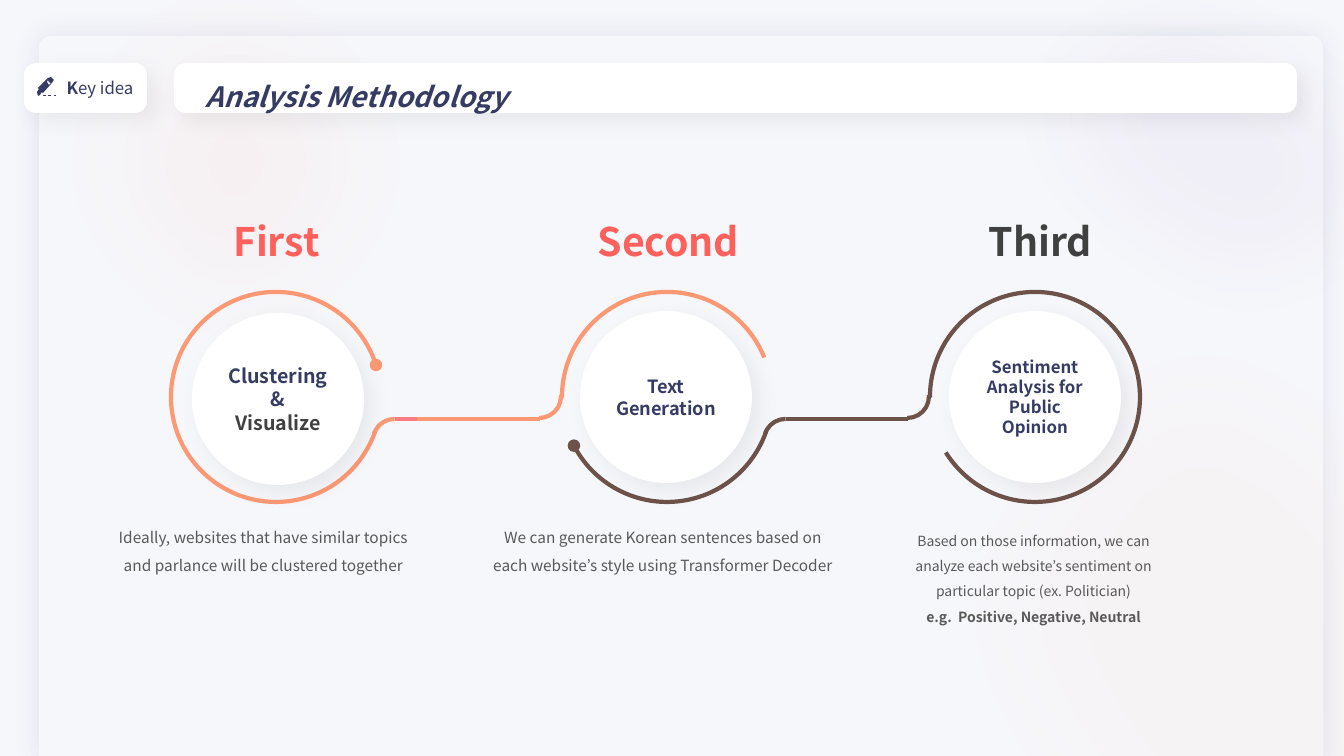
"""Build the Analysis Methodology slide with three linked rings."""
from dataclasses import dataclass

from lxml import etree
from pptx import Presentation
from pptx.dml.color import RGBColor
from pptx.enum.shapes import MSO_CONNECTOR as LINK, MSO_SHAPE as SHAPE
from pptx.enum.text import MSO_ANCHOR as ANCHOR, PP_ALIGN as ALIGN
from pptx.oxml.ns import qn
from pptx.util import Pt


@dataclass(frozen=True)
class Theme:
    font: str = "Noto Sans CJK KR"
    page: str = "F6F7FB"
    card: str = "FFFFFF"
    navy: str = "363B64"
    orange: str = "FC9974"
    pink: str = "FF7C80"
    brown: str = "6D524A"
    coral: str = "FE615C"
    charcoal: str = "404040"
    grey: str = "595959"
    peach: str = "FD9374"
    violet: str = "7030A0"
    shade: str = "000000"
    heading: int = 28
    title: int = 20
    tag: int = 12
    caption: int = 11
    small: int = 10
    stroke: int = 3
    hairline: float = 0.25


T = Theme()
SLIDE_W, SLIDE_H = 1344, 756
PX = 12192000 / SLIDE_W

GLOWS = [
    ((9, -85, 454, 495), 0, T.peach, 7),
    ((987, -137, 454, 567), 291.5, T.violet, 4),
    ((917, 277, 631, 733), 339.8, T.orange, 4),
]
TAG = [[("K", True, T.navy), ("ey idea", False, T.navy)]]
TITLE = [[("Analysis Methodology", True, T.navy)]]
PENCIL = [
    [(38, 96), (37, 92), (39, 89), (38, 88), (48, 78), (51, 77), (54, 80),
     (52, 83), (43, 93), (42, 92), (40, 95)],
    [(48, 80), (47, 82), (49, 85), (51, 83), (49, 82)],
]
GROUND_DASHES = [(43, 46), (48, 51), (54, 56)]

STEPS = [
    dict(
        heading="First", heading_color=T.coral, heading_box=(213, 212, 127, 57),
        ring_left=171, arcs=[(18.85, 342.27, T.orange, True)],
        disc=(192, 313), label_size=14,
        label=[[("Clustering", True, T.navy)],
               [("& ", True, T.navy), ("Visualize", True, T.charcoal)]],
        caption_box=(95, 514, 337, 67), caption_size=T.caption,
        caption=[[("Ideally, websites that have similar topics and parlance "
                   "will be clustered together", False, T.grey)]],
    ),
    dict(
        heading="Second", heading_color=T.coral, heading_box=(580, 212, 177, 57),
        ring_left=562, arcs=[(179.68, 337.91, T.orange, False),
                             (18.85, 152.37, T.brown, True)],
        disc=(580, 311), label_size=13,
        label=[[("Text Generation", True, T.navy)]],
        caption_box=(479, 514, 368, 67), caption_size=T.caption,
        caption=[[("We can generate Korean sentences based on each website’s "
                   "style using Transformer Decoder", False, T.grey)]],
    ),
    dict(
        heading="Third", heading_color=T.charcoal, heading_box=(977, 212, 127, 57),
        ring_left=930, arcs=[(179.68, 148.07, T.brown, False)],
        disc=(949, 311), label_size=12,
        label=[[("Sentiment Analysis for Public Opinion", True, T.navy)]],
        caption_box=(889, 519, 289, 112), caption_size=T.small,
        caption=[[("Based on those information, we can analyze each website’s "
                   "sentiment on particular topic (ex. Politician)", False, T.grey)],
                 [("e.g.  Positive, Negative, Neutral", True, T.grey)]],
    ),
]
BRIDGES = [
    (T.orange, [(395, 518, T.pink), (417, 540, T.orange)]),
    (T.brown, [(786, 908, T.brown)]),
]
RING_TOP, RING_SIZE, DISC_SIZE = 292, 210, 172
BRIDGE_Y, ELBOW_SIZE, ELBOW_OUT, ELBOW_IN = 419, 43, 202, -44


def emu(*lengths):
    return [round(length * PX) for length in lengths]


def rgb(color):
    return RGBColor.from_string(color)


def effect(shape, kind, color=None, alpha=0, **attributes):
    effects = etree.SubElement(shape._element.spPr, qn("a:effectLst"))
    node = etree.SubElement(effects, qn(f"a:{kind}"),
                            {key: str(value) for key, value in attributes.items()})
    if color:
        tint = etree.SubElement(node, qn("a:srgbClr"), val=color)
        etree.SubElement(tint, qn("a:alpha"), val=str(alpha * 1000))


def add_filled(slide, kind, box, color, corner=None):
    shape = slide.shapes.add_shape(kind, *emu(*box))
    shape.fill.solid()
    shape.fill.fore_color.rgb = rgb(color)
    shape.line.fill.background()
    if corner is not None:
        shape.adjustments[0] = corner
    return shape


def add_card(slide, kind, box, corner=None):
    card = add_filled(slide, kind, box, T.card, corner)
    effect(card, "outerShdw", T.shade, 5, blurRad=190500, dist=101600,
           dir=2700000, algn="tl", rotWithShape=0)
    return card


def write(shape, paragraphs, size, align=ALIGN.CENTER, spacing=None,
          anchor=ANCHOR.MIDDLE, italic=None):
    frame = shape.text_frame
    frame.word_wrap = True
    frame.vertical_anchor = anchor
    for index, pieces in enumerate(paragraphs):
        line = frame.add_paragraph() if index else frame.paragraphs[0]
        line.alignment = align
        line.line_spacing = spacing
        for words, bold, color in pieces:
            run = line.add_run()
            run.text = words
            run.font.name, run.font.size = T.font, Pt(size)
            run.font.bold, run.font.italic = bold, italic
            run.font.color.rgb = rgb(color)
    return frame


def add_text(slide, box, paragraphs, size, spacing=None):
    write(slide.shapes.add_textbox(*emu(*box)), paragraphs, size,
          spacing=spacing, anchor=ANCHOR.TOP)


def add_arc(slide, left, top, size, start, end, color, dot=False, flip=False):
    arc = slide.shapes.add_shape(SHAPE.ARC, *emu(left, top, size, size))
    arc.adjustments[0], arc.adjustments[1] = start * 0.6, end * 0.6
    arc.shadow.inherit = False
    arc.fill.background()
    arc.line.color.rgb = rgb(color)
    arc.line.width = Pt(T.stroke)
    if dot:
        etree.SubElement(arc.line._get_or_add_ln(), qn("a:tailEnd"), type="oval")
    if flip:
        arc._element.spPr.xfrm.set("flipH", "1")
        arc._element.spPr.xfrm.set("flipV", "1")


def add_line(slide, start, end, y, color, width):
    line = slide.shapes.add_connector(LINK.STRAIGHT, *emu(start, y, end, y))
    line.line.color.rgb = rgb(color)
    line.line.width = Pt(width)
    etree.SubElement(line._element.spPr, qn("a:effectLst"))


def add_backdrop(slide):
    panel = add_filled(slide, SHAPE.ROUND_2_SAME_RECTANGLE, (39, 36, 1284, 727),
                       T.page, 0.016)
    effect(panel, "outerShdw", T.navy, 10, blurRad=228600, dist=0, algn="ctr")
    for box, turn, color, alpha in GLOWS:
        glow = add_filled(slide, SHAPE.OVAL, box, color)
        glow.rotation = turn
        tint = glow._element.spPr.find(qn("a:solidFill"))[0]
        etree.SubElement(tint, qn("a:alpha"), val=str(alpha * 1000))
        effect(glow, "softEdge", rad=889000)


def add_header(slide):
    tag = add_card(slide, SHAPE.ROUNDED_RECTANGLE, (24, 63, 123, 50), 0.24)
    write(tag, TAG, T.tag, ALIGN.RIGHT)
    body, band = PENCIL
    outline = slide.shapes.build_freeform(*body[0], scale=PX)
    outline.add_line_segments(body[1:])
    outline.move_to(*band[0])
    outline.add_line_segments(band[1:])
    pencil = outline.convert_to_shape()
    pencil.shadow.inherit = False
    pencil.fill.solid()
    pencil.fill.fore_color.rgb = rgb(T.navy)
    pencil.line.fill.background()
    for start, end in GROUND_DASHES:
        add_line(slide, start, end, 95, T.navy, T.hairline)
    banner = add_card(slide, SHAPE.ROUNDED_RECTANGLE, (174, 63, 1123, 50), 0.24)
    frame = write(banner, TITLE, T.title, ALIGN.LEFT, 1.5, italic=True)
    frame.margin_left = emu(28)[0]


def add_steps(slide):
    for step in STEPS:
        for start, end, color, dot in step["arcs"]:
            add_arc(slide, step["ring_left"], RING_TOP, RING_SIZE, start, end, color, dot)
    for (color, pieces), source, target in zip(BRIDGES, STEPS, STEPS[1:]):
        add_arc(slide, source["ring_left"] + ELBOW_OUT, BRIDGE_Y, ELBOW_SIZE,
                199.42, 270.54, color)
        add_arc(slide, target["ring_left"] + ELBOW_IN, BRIDGE_Y - ELBOW_SIZE - 1,
                ELBOW_SIZE, 175.9, 270.54, color, flip=True)
        for start, end, shade in pieces:
            add_line(slide, start, end, BRIDGE_Y, shade, T.stroke)
    for step in STEPS:
        add_text(slide, step["heading_box"],
                 [[(step["heading"], True, step["heading_color"])]], T.heading)
        disc = add_card(slide, SHAPE.OVAL, (*step["disc"], DISC_SIZE, DISC_SIZE))
        frame = write(disc, step["label"], step["label_size"])
        frame.margin_left = frame.margin_right = emu(9)[0]
        add_text(slide, step["caption_box"], step["caption"], step["caption_size"], 1.5)


def main():
    deck = Presentation()
    deck.slide_width, deck.slide_height = emu(SLIDE_W, SLIDE_H)
    slide = deck.slides.add_slide(deck.slide_layouts[6])
    slide.background.fill.solid()
    slide.background.fill.fore_color.rgb = rgb(T.page)
    add_backdrop(slide)
    add_header(slide)
    add_steps(slide)
    deck.save("out.pptx")


if __name__ == "__main__":
    main()
